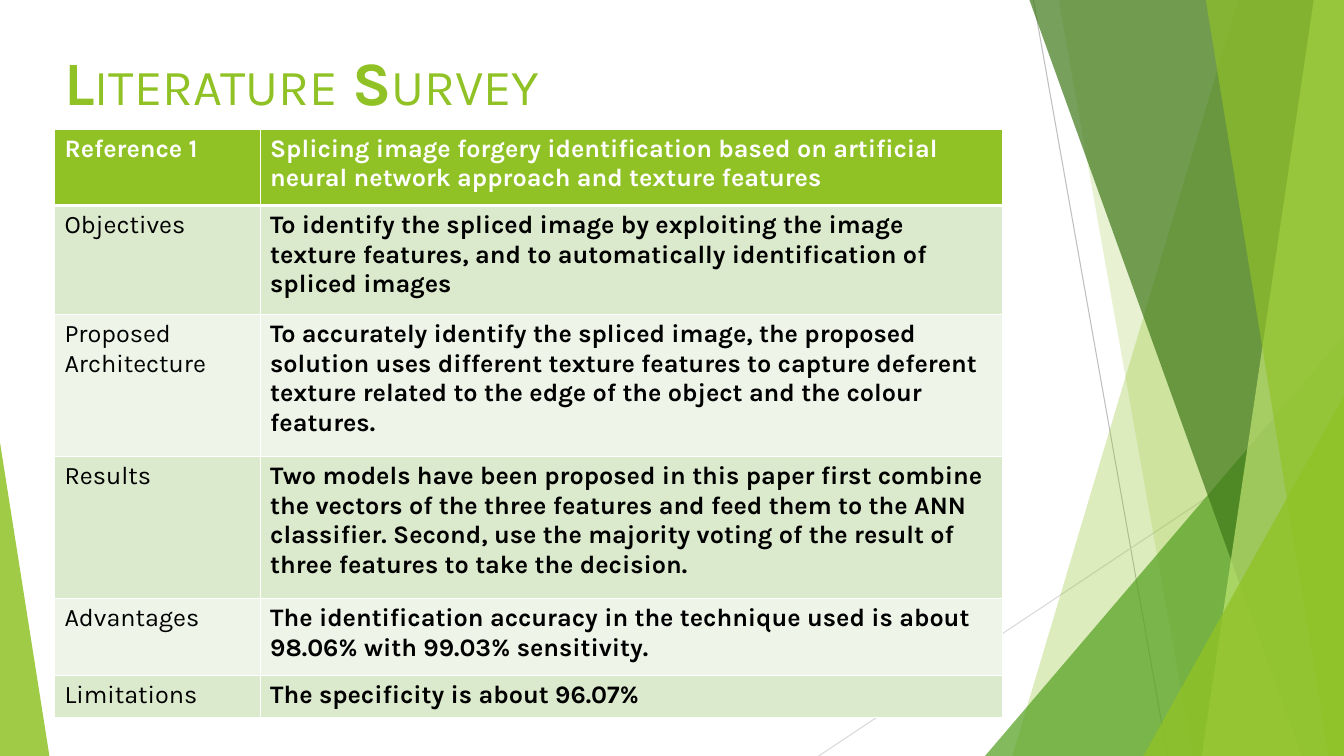
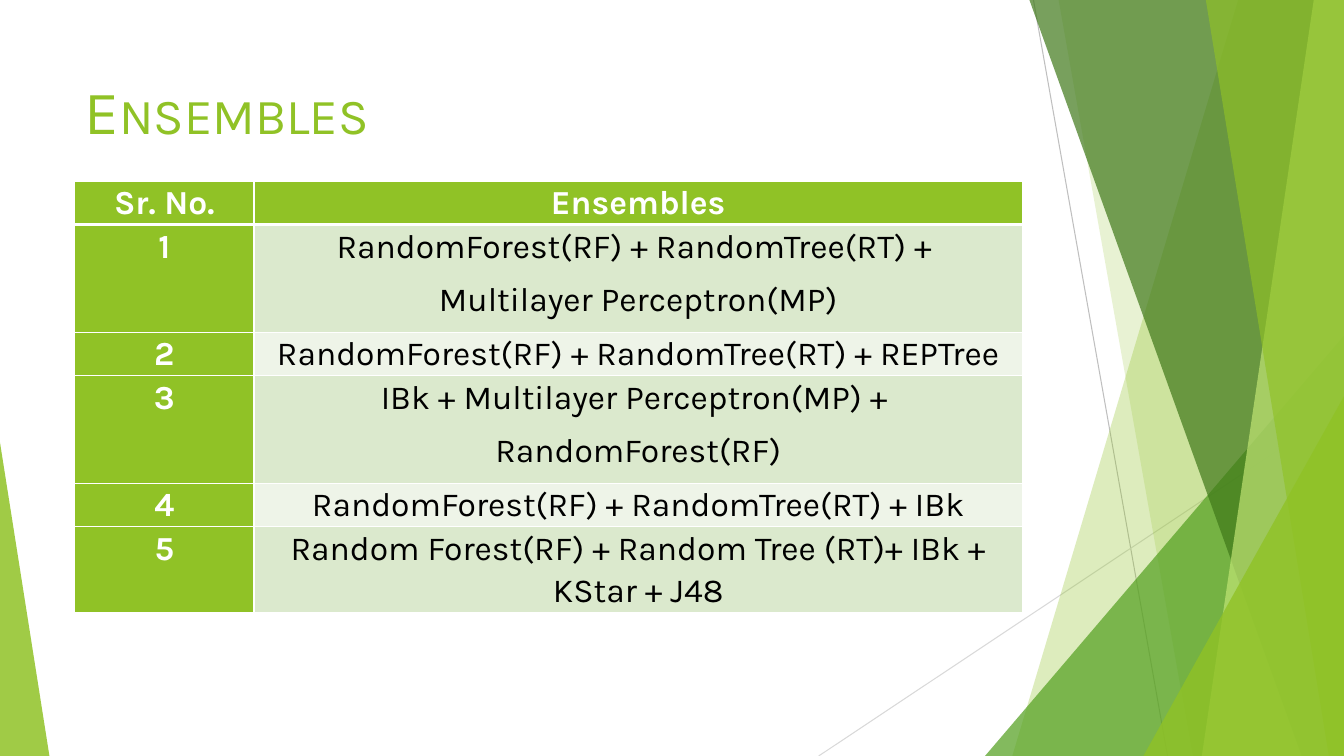
from lxml.etree import SubElement
from pptx import Presentation
from pptx.dml.color import RGBColor
from pptx.enum.shapes import MSO_CONNECTOR as Connector, MSO_SHAPE as Shape
from pptx.enum.text import MSO_ANCHOR as Anchor, PP_ALIGN as Align
from pptx.oxml.ns import qn
from pptx.util import Inches, Pt

WIDTH, HEIGHT = 13.33, 7.5
FONT = "Karla"
COLORS = {
    "lime": "90C226", "leaf": "54A021", "forest": "3F7819", "pale": "C0E474",
    "band_dark": "DBE9CD", "band_light": "EEF4E8",
    "white": "FFFFFF", "black": "000000", "grey": "BFBFBF", "silver": "D9D9D9",
}


def rgb(color):
    return RGBColor.from_string(COLORS[color])


def write(paragraph, text, size=18, color="black", bold=False):
    run = paragraph.add_run()
    run.text = text
    run.font.name = FONT
    run.font.size = Pt(size)
    run.font.bold = bold
    run.font.color.rgb = rgb(color)


class Deck:
    def __init__(self):
        self.prs = Presentation()
        self.prs.slide_width = Inches(WIDTH)
        self.prs.slide_height = Inches(HEIGHT)
        self.slide = None

    def new_slide(self):
        self.slide = self.prs.slides.add_slide(self.prs.slide_layouts[6])
        self.line(10.25, 0, 11.58, HEIGHT, "grey")
        self.line(WIDTH, 4.03, 8.12, HEIGHT, "silver")
        self.band(12.28, 10.04, "lime", 30)
        self.band(10.5, 11.83, "lime", 20)
        self.triangle(9.77, 3.56, 4.17, 1, "leaf", 72)
        self.band(10.21, 12.91, "forest", 70)
        self.band(13.03, 11.92, "pale", 70)
        self.band(11.96, 13.18, "lime", 65)
        self.triangle(11.34, 1.99, 3.57, 1, "lime", 80)
        self.triangle(0, 0.49, 3.11, 0, "lime", 85)

    def line(self, x1, y1, x2, y2, color):
        line = self.slide.shapes.add_connector(
            Connector.STRAIGHT, *map(Inches, (x1, y1, x2, y2)))
        line.line.color.rgb = rgb(color)
        line.line.width = Pt(0.75)
        SubElement(line._element.spPr, qn("a:effectLst"))

    def paint(self, shape, color, opacity):
        shape.shadow.inherit = False
        shape.line.fill.background()
        shape.fill.solid()
        shape.fill.fore_color.rgb = rgb(color)
        tint = shape._element.spPr.find(qn("a:solidFill"))[0]
        SubElement(tint, qn("a:alpha"), val=str(opacity * 1000))

    def band(self, top_x, bottom_x, color, opacity):
        corners = [(WIDTH, 0), (WIDTH, HEIGHT), (bottom_x, HEIGHT)]
        builder = self.slide.shapes.build_freeform(Inches(top_x), 0)
        builder.add_line_segments(
            [(Inches(x), Inches(y)) for x, y in corners], close=True)
        self.paint(builder.convert_to_shape(), color, opacity)

    def triangle(self, left, width, height, apex, color, opacity):
        shape = self.slide.shapes.add_shape(
            Shape.ISOSCELES_TRIANGLE,
            *map(Inches, (left, HEIGHT - height, width, height)))
        shape.adjustments[0] = apex
        self.paint(shape, color, opacity)

    def title(self, text, left, top, height, bold_initials=False):
        box = self.slide.shapes.add_textbox(
            *map(Inches, (left, top, 9.4, height)))
        frame = box.text_frame
        frame.word_wrap = True
        frame.vertical_anchor = Anchor.TOP
        heading = frame.paragraphs[0]
        for index, word in enumerate(text.split()):
            if index:
                write(heading, " ", size=44, color="lime")
            write(heading, word[0], size=44, color="lime", bold=bold_initials)
            write(heading, word[1:], size=36, color="lime")

    def borders(self, cell, top, bottom):
        props = cell._tc.get_or_add_tcPr()
        for side, points in (("L", 1), ("R", 1), ("T", top), ("B", bottom)):
            edge = SubElement(props, qn(f"a:ln{side}"), w=str(Pt(points)))
            fill = SubElement(edge, qn("a:solidFill"))
            SubElement(fill, qn("a:srgbClr"), val=COLORS["white"])

    def table(self, left, top, widths, heights, rows, size=18,
              bold_column=None, header_column=False, compact=False):
        table = self.slide.shapes.add_table(
            len(rows), len(widths), Inches(left), Inches(top),
            Inches(sum(widths)), Inches(sum(heights))).table
        for column, width in zip(table.columns, widths):
            column.width = Inches(width)
        for r, (height, texts) in enumerate(zip(heights, rows)):
            table.rows[r].height = Inches(height)
            for c, text in enumerate(texts):
                cell = table.cell(r, c)
                header = r == 0 or (header_column and c == 0)
                self.borders(cell, 3 if r == 1 else 1, 3 if r == 0 else 1)
                cell.fill.solid()
                cell.fill.fore_color.rgb = rgb(
                    "lime" if header else
                    "band_dark" if r % 2 else "band_light")
                if compact:
                    cell.margin_left = cell.margin_right = Inches(0.07)
                    cell.margin_top = cell.margin_bottom = 0
                frame = cell.text_frame
                for n, part in enumerate(text.split("\n")):
                    paragraph = frame.add_paragraph() if n else frame.paragraphs[0]
                    if compact:
                        paragraph.alignment = Align.CENTER
                        paragraph.line_spacing = 1.07
                        paragraph.space_after = Pt(8)
                    write(paragraph, part, size=size,
                          color="white" if header else "black",
                          bold=header or c == bold_column)


SURVEY = [
    ("Reference 1", "Splicing image forgery identification based on artificial "
     "neural network approach and texture features"),
    ("Objectives", "To identify the spliced image by exploiting the image texture "
     "features, and to automatically identification of spliced images"),
    ("Proposed Architecture", "To accurately identify the spliced image, the "
     "proposed solution uses different texture features to capture deferent "
     "texture related to the edge of the object and the colour features."),
    ("Results", "Two models have been proposed in this paper first combine the "
     "vectors of the three features and feed them to the ANN classifier. Second, "
     "use the majority voting of the result of three features to take the decision."),
    ("Advantages", "The identification accuracy in the technique used is about "
     "98.06% with 99.03% sensitivity."),
    ("Limitations", "The specificity is about 96.07%"),
]

ENSEMBLES = [
    ("Sr. No.", "Ensembles"),
    ("1", "RandomForest(RF) + RandomTree(RT) + \nMultilayer Perceptron(MP)"),
    ("2", "RandomForest(RF) + RandomTree(RT) + REPTree"),
    ("3", "IBk + Multilayer Perceptron(MP) + \nRandomForest(RF)"),
    ("4", "RandomForest(RF) + RandomTree(RT) + IBk"),
    ("5", "Random Forest(RF) + Random Tree (RT)+ IBk + KStar + J48"),
]


def main():
    deck = Deck()

    deck.new_slide()
    deck.title("LITERATURE SURVEY", 0.54, 0.39, 0.89, bold_initials=True)
    deck.table(0.54, 1.28, (2.04, 7.36), (0.76, 1.08, 1.41, 1.41, 0.76, 0.42),
               SURVEY, bold_column=1)

    deck.new_slide()
    deck.title("ENSEMBLES", 0.74, 0.67, 0.94)
    deck.table(0.74, 1.8, (1.78, 7.62), (0.38, 1.07, 0.38, 1.07, 0.38, 0.6),
               ENSEMBLES, size=24, header_column=True, compact=True)

    deck.prs.save("out.pptx")


if __name__ == "__main__":
    main()
